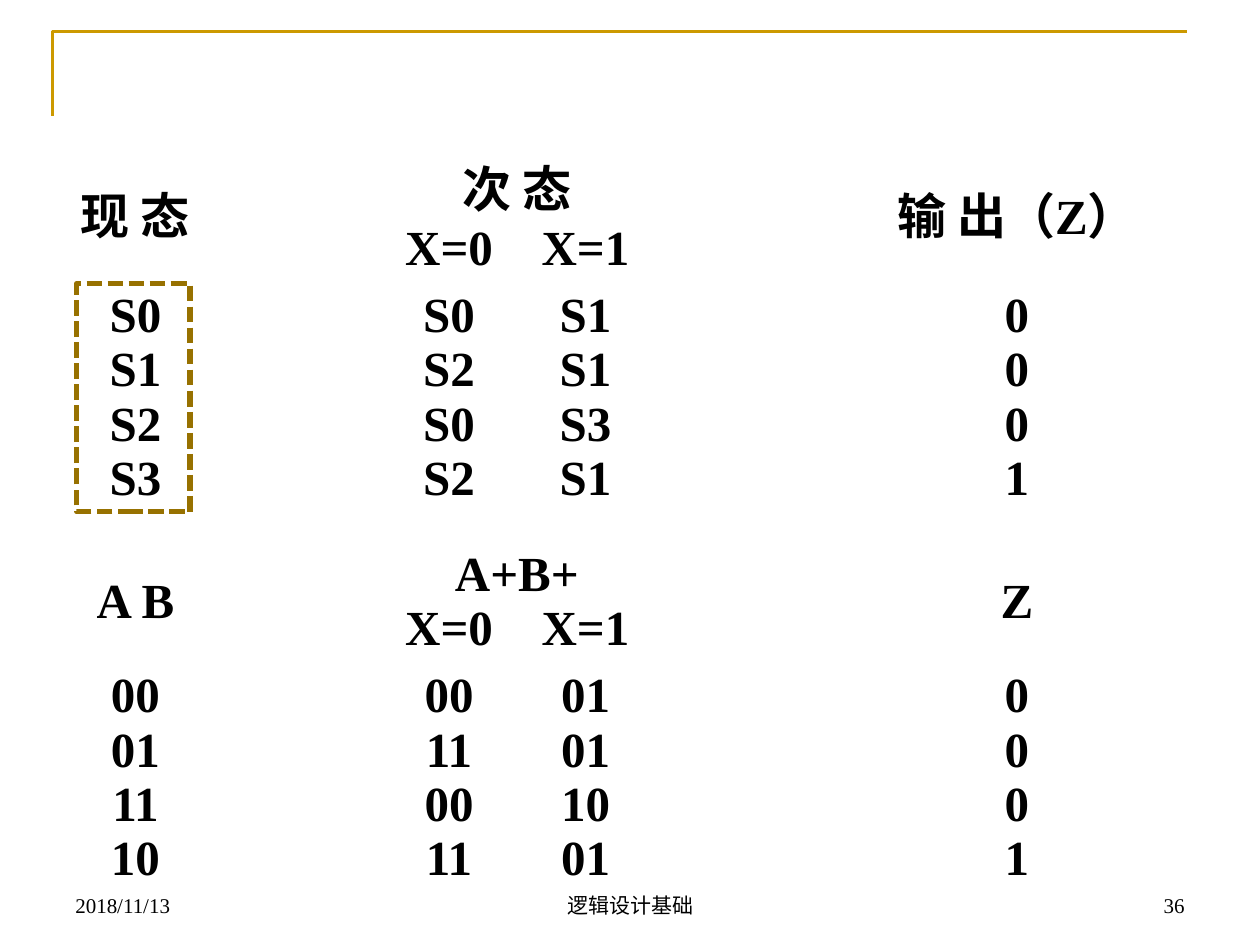
from lxml import etree
from pptx import Presentation
from pptx.dml.color import RGBColor
from pptx.enum.dml import MSO_LINE
from pptx.enum.shapes import MSO_SHAPE
from pptx.enum.text import MSO_ANCHOR, PP_ALIGN
from pptx.oxml.ns import qn
from pptx.util import Cm, Pt

LEFT, CENTER, RIGHT = PP_ALIGN.LEFT, PP_ALIGN.CENTER, PP_ALIGN.RIGHT
MIDDLE, BOTTOM = MSO_ANCHOR.MIDDLE, MSO_ANCHOR.BOTTOM
RECTANGLE, DASH = MSO_SHAPE.RECTANGLE, MSO_LINE.SQUARE_DOT
TAB_STOPS = (Cm(4.04), Cm(6.79))  # centres of the X=0 and X=1 columns


def color(value):
    return RGBColor.from_string(value)


def write_lines(text_frame, lines, size, alignment, bold=False):
    text_frame.text = "\n".join(lines)
    for paragraph in text_frame.paragraphs:
        paragraph.alignment = alignment
        paragraph.font.name = "Times New Roman"
        paragraph.font.size = Pt(size)
        paragraph.font.bold = bold
        paragraph.font.color.rgb = color("000000")
        if "\t" in paragraph.text:
            paragraph.alignment = LEFT
            properties = paragraph._p.get_or_add_pPr()
            tab_list = etree.Element(qn("a:tabLst"))
            for position in TAB_STOPS:
                etree.SubElement(tab_list, qn("a:tab"), pos=str(position), algn="ctr")
            properties.insert(0, tab_list)


presentation = Presentation()
presentation.slide_width, presentation.slide_height = Cm(25.4), Cm(19.05)
slide = presentation.slides.add_slide(presentation.slide_layouts[6])
shapes = slide.shapes

# Corner line at the top
builder = shapes.build_freeform(Cm(1.06), Cm(2.33))
builder.add_line_segments([(Cm(1.06), Cm(0.63)), (Cm(23.92), Cm(0.63))], close=False)
corner = builder.convert_to_shape()
corner.shadow.inherit = False
corner.fill.background()
corner.line.color.rgb = color("CC9900")
corner.line.width = Pt(1.5)

# State table and encoded state table: top, row heights, fill, cells
outputs = ["0", "0", "0", "1"]
state_tables = (
    (2.92, (2.08, 3.99), None, (
        (["现 态"], ["次 态", "\tX=0\tX=1"], ["输 出（Z）"]),
        (["S0", "S1", "S2", "S3"],
         ["\tS0\tS1", "\tS2\tS1", "\tS0\tS3", "\tS2\tS1"], outputs),
    )),
    (10.92, (2.44, 4.22), "FFFFFF", (
        (["A B"], ["A+B+", "\tX=0\tX=1"], ["Z"]),
        (["00", "01", "11", "10"],
         ["\t00\t01", "\t11\t01", "\t00\t10", "\t11\t01"], outputs),
    )),
)
column_widths = (4.06, 11.32, 8.84)
for top, row_heights, fill, rows in state_tables:
    table_frame = shapes.add_table(2, 3, Cm(0.7), Cm(top), Cm(sum(column_widths)),
                                   Cm(7.62))
    table = table_frame.table
    table.first_row = table.horz_banding = False
    for column, width in zip(table.columns, column_widths):
        column.width = Cm(width)
    for row, height, contents in zip(table.rows, row_heights, rows):
        row.height = Cm(height)
        for cell, lines in zip(row.cells, contents):
            cell.vertical_anchor = MIDDLE
            if fill:
                cell.fill.solid()
                cell.fill.fore_color.rgb = color(fill)
            else:
                cell.fill.background()
            write_lines(cell.text_frame, lines, 28, CENTER, bold=True)
    table_frame.height = Cm(7.62)  # the rows grow with their text

# Footer: date, course, page number
for left, width, text, alignment in (
    (1.27, 5.92, "2018/11/13", LEFT),
    (8.68, 8.05, "逻辑设计基础", CENTER),
    (18.21, 5.92, "36", RIGHT),
):
    text_frame = shapes.add_textbox(Cm(left), Cm(17.35), Cm(width), Cm(1.27)).text_frame
    text_frame.word_wrap = True
    text_frame.vertical_anchor = BOTTOM
    write_lines(text_frame, [text], 12, alignment)

# Dashed frame around the present states
frame = shapes.add_shape(RECTANGLE, Cm(1.55), Cm(5.72), Cm(2.28), Cm(4.6))
frame.shadow.inherit = False
frame.fill.background()
frame.line.color.rgb = color("977100")
frame.line.width = Pt(3)
frame.line.dash_style = DASH

presentation.save("out.pptx")
